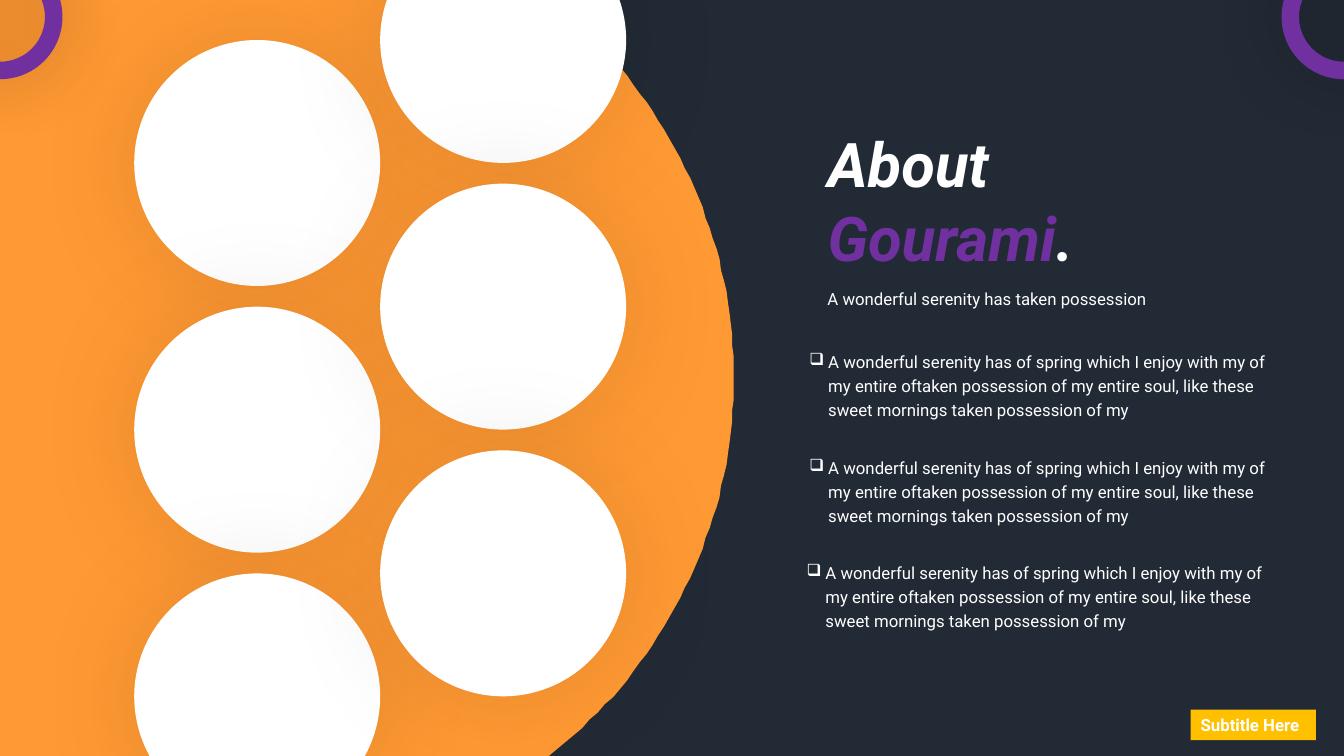
"""Build the About slide with circle frames, a heading and a bullet list."""
import math

import lxml.etree
import pptx
import pptx.dml.color
import pptx.enum.shapes
import pptx.enum.text
import pptx.oxml.ns
import pptx.util

Pt = pptx.util.Pt
RGB = pptx.dml.color.RGBColor
SHAPE = pptx.enum.shapes.MSO_SHAPE
qn = pptx.oxml.ns.qn

NAVY = RGB(0x22, 0x2A, 0x35)
ORANGE = RGB(0xFF, 0x99, 0x33)
WHITE = RGB(0xFF, 0xFF, 0xFF)
PURPLE = RGB(0x70, 0x30, 0xA0)
AMBER = RGB(0xFF, 0xC0, 0x00)
ITEM = ("A wonderful serenity has of spring which I enjoy with my of my entire "
        "oftaken possession of my entire soul, like these sweet mornings taken "
        "possession of my")

prs = pptx.Presentation()
prs.slide_width, prs.slide_height = Pt(960), Pt(540)
s = prs.slides.add_slide(prs.slide_layouts[6])
s.background.fill.solid()
s.background.fill.fore_color.rgb = NAVY


def add_round(kind, left, top, size, color, alpha, blur):
    """Add a round shape with a soft black glow behind it."""
    sp = s.shapes.add_shape(kind, Pt(left), Pt(top), Pt(size), Pt(size))
    sp.fill.solid()
    sp.fill.fore_color.rgb = color
    sp.line.fill.background()
    sp.shadow.inherit = False
    effects = sp._element.spPr.find(qn("a:effectLst"))
    shadow = lxml.etree.SubElement(effects, qn("a:outerShdw"), blurRad=str(Pt(blur)),
                                   dist="0", dir="0", algn="ctr", rotWithShape="0")
    black = lxml.etree.SubElement(shadow, qn("a:srgbClr"), val="000000")
    lxml.etree.SubElement(black, qn("a:alpha"), val=str(alpha * 1000))
    return sp


def add_text(left, top, width, height, lines, size, spacing=1.0):
    """Add a wrapped white text box with one paragraph per line."""
    tf = s.shapes.add_textbox(Pt(left), Pt(top), Pt(width), Pt(height)).text_frame
    tf.word_wrap = True
    tf.auto_size = pptx.enum.text.MSO_AUTO_SIZE.SHAPE_TO_FIT_TEXT
    tf.text = "\n".join(lines)
    for p in tf.paragraphs:
        p.line_spacing = spacing
        p.font.name = "Roboto"
        p.font.size = Pt(size)
        p.font.color.rgb = WHITE
    return tf


radius, center_x, center_y = 342, 182.2, 270
sweep = math.asin(center_y / radius)
arc = [(center_x + radius * math.cos(a), center_y + radius * math.sin(a))
       for a in (sweep * (i / 40 - 1) for i in range(81))]
builder = s.shapes.build_freeform(0, 0, scale=float(Pt(1)))
builder.add_line_segments(arc + [(0, 540)], close=True)
sp = builder.convert_to_shape()
sp.fill.solid()
sp.fill.fore_color.rgb = ORANGE
sp.line.fill.background()
sp.shadow.inherit = False

diameter, pitch = 175.7, 190.5
for left, first_top in ((95.9, 28.6), (95.9 + diameter, -59.3)):
    for row in range(3):
        add_round(SHAPE.OVAL, left, first_top + row * pitch, diameter, WHITE, 9, 77)

tf = add_text(584, 86.4, 375.8, 113.8, ["About", ""], 44)
for text, color in (("Gourami", PURPLE), (".", WHITE)):
    r = tf.paragraphs[1].add_run()
    r.text = text
    r.font.color.rgb = color
for p in tf.paragraphs:
    p.font.bold = p.font.italic = True

add_text(584, 195.8, 318, 26.6, ["A wonderful serenity has taken possession"], 12, 1.5)

for left, top in ((571, 244.8), (571, 320.2), (569, 395.4)):
    tf = add_text(left, top, 349.2, 58.3, [ITEM], 12, 1.2)
    pPr = tf.paragraphs[0]._p.get_or_add_pPr()
    pPr.set("marL", str(Pt(13.5)))
    pPr.set("indent", str(-Pt(13.5)))
    bullet = lxml.etree.Element(qn("a:buChar"), char="❑")
    pPr.find(qn("a:lnSpc")).addnext(bullet)

sp = s.shapes.add_shape(SHAPE.RECTANGLE, Pt(850.5), Pt(506.9), Pt(89.5), Pt(21.8))
sp.fill.solid()
sp.fill.fore_color.rgb = AMBER
sp.line.fill.background()
sp.shadow.inherit = False
tf = sp.text_frame
tf.word_wrap = False
tf.auto_size = pptx.enum.text.MSO_AUTO_SIZE.SHAPE_TO_FIT_TEXT
tf.text = "Subtitle Here"
p = tf.paragraphs[0]
p.alignment = pptx.enum.text.PP_ALIGN.LEFT
p.font.name = "Roboto"
p.font.size = Pt(12)
p.font.bold = True
p.font.color.rgb = WHITE

for left in (-44.6, 915.4):
    sp = add_round(SHAPE.DONUT, left, -32.6, 89.2, PURPLE, 33, 49)
    sp.adjustments[0] = 0.14

prs.save("out.pptx")
